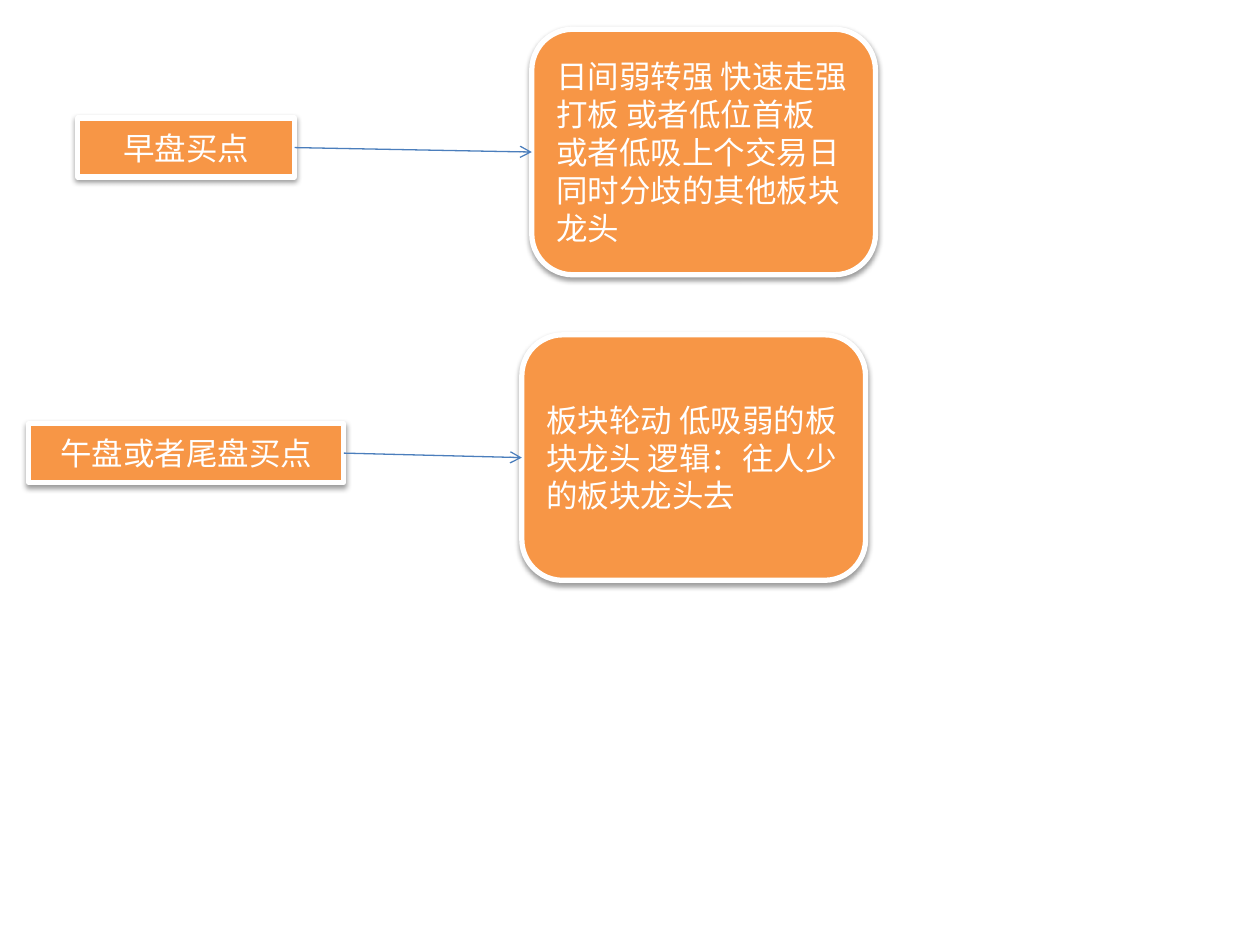
from dataclasses import dataclass

from lxml.etree import SubElement
from pptx import Presentation
from pptx.dml.color import RGBColor
from pptx.enum.shapes import MSO_CONNECTOR as Connector, MSO_SHAPE as Preset
from pptx.enum.text import MSO_ANCHOR as Anchor, PP_ALIGN as Align
from pptx.oxml.ns import qn
from pptx.shapes.autoshape import Shape
from pptx.slide import Slide
from pptx.util import Cm, Pt

COLOURS = {"box": "F79646", "light": "FFFFFF", "arrow": "4B7EBC", "shadow": "000000"}
FONT = "Calibri"
ROW_STEP = 6.16
LABEL_TOP, LABEL_HEIGHT = 2.38, 1.19
ADVICE_TOP, ADVICE_WIDTH, ADVICE_HEIGHT = 0.59, 6.93, 4.95
RIGHT_SITE, LEFT_SITE = 3, 1


@dataclass
class BuyPoint:
    label: str
    label_left: float
    label_width: float
    advice: str
    advice_left: float


BUY_POINTS = [
    BuyPoint("早盘买点", 1.57, 4.37,
             "日间弱转强 快速走强 打板 或者低位首板 或者低吸上个交易日同时分歧的其他板块龙头",
             10.72),
    BuyPoint("午盘或者尾盘买点", 0.58, 6.35,
             "板块轮动 低吸弱的板块龙头 逻辑：往人少的板块龙头去", 10.52),
]


def colour(name: str) -> RGBColor:
    return RGBColor.from_string(COLOURS[name])


def write_text(shape: Shape, text: str, *, align: Align, size: float = 18,
               ink: str = "light") -> None:
    frame = shape.text_frame
    frame.word_wrap = True
    frame.vertical_anchor = Anchor.MIDDLE
    paragraph = frame.paragraphs[0]
    paragraph.alignment = align
    run = paragraph.add_run()
    run.text = text
    run.font.name = FONT
    run.font.size = Pt(size)
    run.font.color.rgb = colour(ink)


def add_shadow(shape: Shape) -> None:
    shape.shadow.inherit = False
    effects = shape._element.spPr.find(qn("a:effectLst"))
    shadow = SubElement(effects, qn("a:outerShdw"), blurRad=str(Pt(3.1)),
                        dist=str(Pt(1.6)), dir="5400000", rotWithShape="0")
    shade = SubElement(shadow, qn("a:srgbClr"), val=COLOURS["shadow"])
    SubElement(shade, qn("a:alpha"), val="38000")


def add_box(slide: Slide, preset: Preset, left: float, top: float, width: float,
            height: float, text: str, align: Align) -> Shape:
    shape = slide.shapes.add_shape(preset, Cm(left), Cm(top), Cm(width), Cm(height))
    shape.fill.solid()
    shape.fill.fore_color.rgb = colour("box")
    shape.line.color.rgb = colour("light")
    shape.line.width = Pt(3)
    add_shadow(shape)
    write_text(shape, text, align=align)
    return shape


def add_arrow(slide: Slide, start: Shape, end: Shape) -> None:
    arrow = slide.shapes.add_connector(Connector.STRAIGHT, 0, 0, 0, 0)
    arrow.begin_connect(start, RIGHT_SITE)
    arrow.end_connect(end, LEFT_SITE)
    arrow.line.color.rgb = colour("arrow")
    arrow.line.width = Pt(0.75)
    SubElement(arrow.line._get_or_add_ln(), qn("a:tailEnd"), type="arrow")
    SubElement(arrow._element.spPr, qn("a:effectLst"))


presentation = Presentation()
presentation.slide_width, presentation.slide_height = Cm(25.4), Cm(19.05)
slide = presentation.slides.add_slide(presentation.slide_layouts[6])

# One row per buy point: label, arrow, advice
for row, point in enumerate(BUY_POINTS):
    offset = row * ROW_STEP
    label = add_box(slide, Preset.RECTANGLE, point.label_left, LABEL_TOP + offset,
                    point.label_width, LABEL_HEIGHT, point.label, Align.CENTER)
    advice = add_box(slide, Preset.ROUNDED_RECTANGLE, point.advice_left,
                     ADVICE_TOP + offset, ADVICE_WIDTH, ADVICE_HEIGHT,
                     point.advice, Align.LEFT)
    add_arrow(slide, label, advice)

presentation.save("out.pptx")
